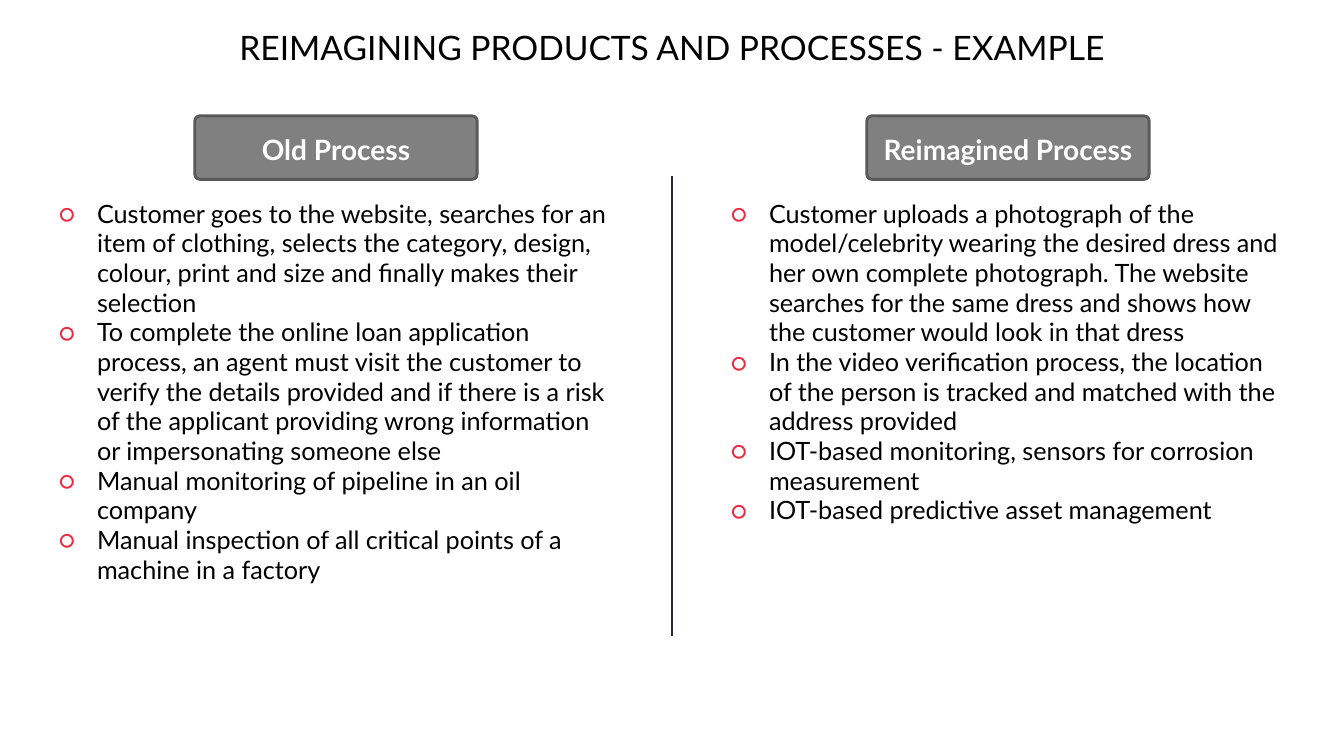
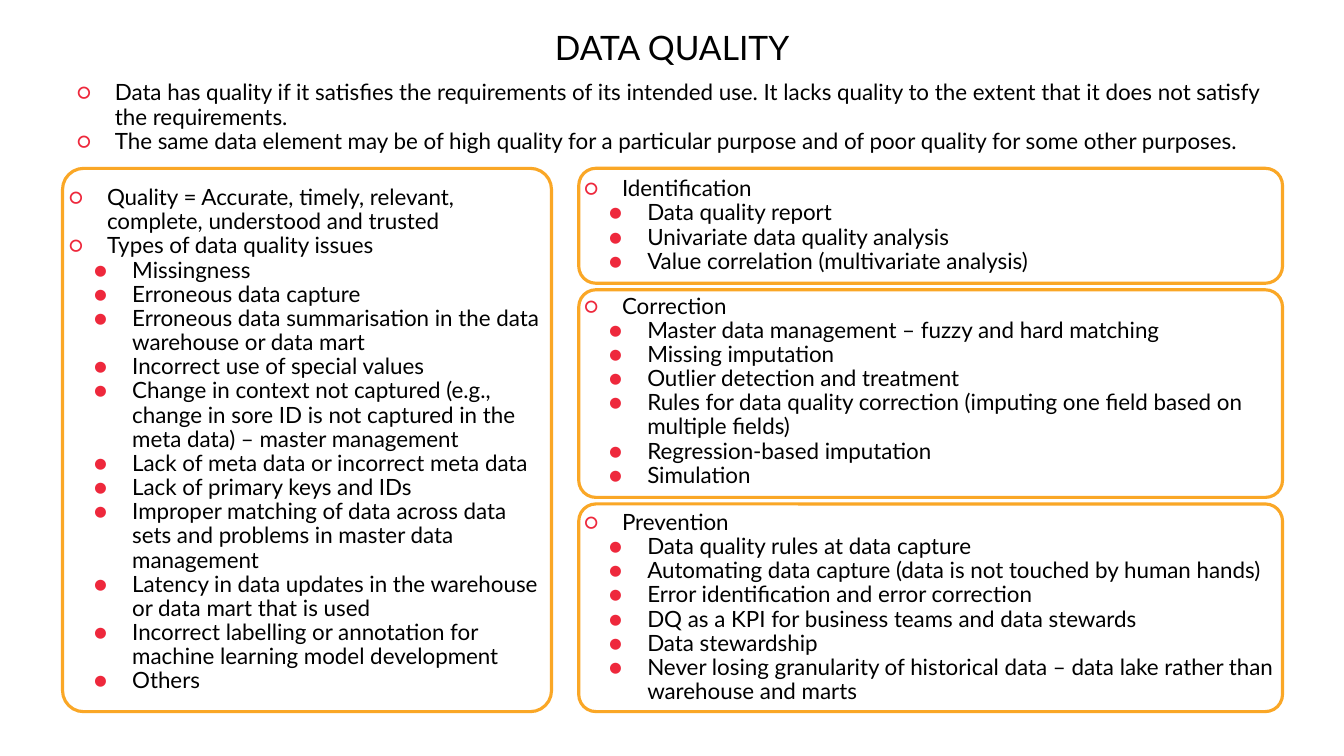
from pptx import Presentation
from pptx.dml.color import RGBColor
from pptx.enum.shapes import MSO_CONNECTOR, MSO_SHAPE
from pptx.enum.text import MSO_ANCHOR, PP_ALIGN
from pptx.oxml.ns import qn
from pptx.util import Inches, Pt
from lxml.etree import SubElement

# Shared style
WIDTH, HEIGHT = 13.33, 7.5
FONT = "Lato"
BLACK, WHITE, RED, ORANGE = "000000", "FFFFFF", "EE283C", "FAA726"
GREY, DARK_GREY, NAVY = "808080", "595959", "222A35"
TITLE_AREA = (1.32, 0.22, 10.69, 0.57)
LEVELS = [("○", 0.38), ("●", 0.63)]  # bullet and text indent of each level
HANGING = 0.38

# Content: a plain string is a first-level bullet, a list holds its sub-bullets
PROCESS_TITLE = "REIMAGINING PRODUCTS AND PROCESSES - EXAMPLE"
PROCESSES = [
    ("Old Process", [
        "Customer goes to the website, searches for an item of clothing, selects the category, "
        "design, colour, print and size and finally makes their selection",
        "To complete the online loan application process, an agent must visit the customer to "
        "verify the details provided and if there is a risk of the applicant providing wrong "
        "information or impersonating someone else",
        "Manual monitoring of pipeline in an oil company",
        "Manual inspection of all critical points of a machine in a factory",
    ]),
    ("Reimagined Process", [
        "Customer uploads a photograph of the model/celebrity wearing the desired dress and her "
        "own complete photograph. The website searches for the same dress and shows how the "
        "customer would look in that dress",
        "In the video verification process, the location of the person is tracked and matched "
        "with the address provided",
        "IOT-based monitoring, sensors for corrosion measurement",
        "IOT-based predictive asset management",
    ]),
]

QUALITY_TITLE = "DATA QUALITY"
QUALITY_INTRO = [
    "Data has quality if it satisfies the requirements of its intended use. It lacks quality to "
    "the extent that it does not satisfy the requirements.",
    "The same data element may be of high quality for a particular purpose and of poor quality "
    "for some other purposes.",
]
QUALITY_ISSUES = [
    "Quality = Accurate, timely, relevant, complete, understood and trusted",
    "Types of data quality issues",
    [
        "Missingness",
        "Erroneous data capture",
        "Erroneous data summarisation in the data warehouse or data mart",
        "Incorrect use of special values",
        "Change in context not captured (e.g., change in sore ID is not captured in the meta "
        "data) – master management",
        "Lack of meta data or incorrect meta data",
        "Lack of primary keys and IDs",
        "Improper matching of data across data sets and problems in master data management",
        "Latency in data updates in the warehouse or data mart that is used",
        "Incorrect labelling or annotation for machine learning model development",
        "Others",
    ],
]
# Height, text anchor, bullets
QUALITY_STEPS = [
    (1.14, MSO_ANCHOR.MIDDLE, ["Identification", [
        "Data quality report",
        "Univariate data quality analysis",
        "Value correlation (multivariate analysis)",
    ]]),
    (2.06, MSO_ANCHOR.TOP, ["Correction", [
        "Master data management – fuzzy and hard matching",
        "Missing imputation",
        "Outlier detection and treatment",
        "Rules for data quality correction (imputing one field based on multiple fields)",
        "Regression-based imputation",
        "Simulation",
    ]]),
    (2.06, MSO_ANCHOR.MIDDLE, ["Prevention", [
        "Data quality rules at data capture",
        "Automating data capture (data is not touched by human hands)",
        "Error identification and error correction",
        "DQ as a KPI for business teams and data stewards",
        "Data stewardship",
        "Never losing granularity of historical data – data lake rather than warehouse and marts",
    ]]),
]


def color(value):
    return RGBColor.from_string(value)


def inches(area):
    return [Inches(length) for length in area]


def style(para, size, ink=BLACK, bold=False):
    para.font.name, para.font.size, para.font.bold = FONT, Pt(size), bold
    para.font.color.rgb = color(ink)


def add_page(deck, title):
    page = deck.slides.add_slide(deck.slide_layouts[6])
    box = page.shapes.add_textbox(*inches(TITLE_AREA))
    box.fill.solid()
    box.fill.fore_color.rgb = color(WHITE)
    box.text_frame.word_wrap = True
    para = box.text_frame.paragraphs[0]
    para.text, para.alignment = title, PP_ALIGN.CENTER
    style(para, 24)
    return page


def add_card(page, area, radius, outline, weight, fill=None):
    card = page.shapes.add_shape(MSO_SHAPE.ROUNDED_RECTANGLE, *inches(area))
    card.adjustments[0] = radius / min(area[2:])
    card.shadow.inherit = False
    card.line.color.rgb, card.line.width = color(outline), Pt(weight)
    if fill:
        card.fill.solid()
        card.fill.fore_color.rgb = color(fill)
    else:
        card.fill.background()
    return card


def set_bullet(para, level):
    mark, indent = LEVELS[level]
    props = para._p.get_or_add_pPr()
    props.set("marL", str(Inches(indent)))
    props.set("indent", str(-Inches(HANGING)))
    tint = SubElement(props, qn("a:buClr"))
    SubElement(tint, qn("a:srgbClr"), val=RED)
    SubElement(props, qn("a:buFont"), typeface=FONT)
    SubElement(props, qn("a:buChar"), char=mark)


def write_bullets(shape, items, size, spacing, anchor=MSO_ANCHOR.TOP):
    frame = shape.text_frame
    frame.word_wrap, frame.vertical_anchor = True, anchor
    frame.margin_left = frame.margin_top = frame.margin_right = frame.margin_bottom = 0
    lines = []
    for item in items:
        lines += [(item, 0)] if isinstance(item, str) else [(text, 1) for text in item]
    for number, (text, level) in enumerate(lines):
        para = frame.add_paragraph() if number else frame.paragraphs[0]
        para.text, para.alignment, para.line_spacing = text, PP_ALIGN.LEFT, spacing
        set_bullet(para, level)
        style(para, size)


def build_processes(deck):
    page = add_page(deck, PROCESS_TITLE)
    middle = WIDTH / 2

    # Divider
    divider = page.shapes.add_connector(
        MSO_CONNECTOR.STRAIGHT, *inches((middle, 1.75, middle, 6.31)))
    divider.line.color.rgb, divider.line.width = color(NAVY), Pt(2)
    SubElement(divider._element.spPr, qn("a:effectLst"))

    # One half of the slide for each process
    text_width, label_width = 5.5, 2.8
    for column, (name, items) in enumerate(PROCESSES):
        left = column * middle
        label = add_card(page, (left + (middle - label_width) / 2, 1.15, label_width, 0.63),
                         0.05, DARK_GREY, 2, GREY)
        label.text_frame.vertical_anchor = MSO_ANCHOR.MIDDLE
        para = label.text_frame.paragraphs[0]
        para.text, para.alignment, para.line_spacing = name, PP_ALIGN.CENTER, 1.07
        style(para, 20, WHITE, bold=True)
        box = page.shapes.add_textbox(
            *inches((left + (middle - text_width) / 2, 1.98, text_width, 4.02)))
        write_bullets(box, items, 18, 0.98)


def build_quality(deck):
    page = add_page(deck, QUALITY_TITLE)
    intro = page.shapes.add_textbox(*inches((0.76, 0.81, 11.8, 0.92)))
    write_bullets(intro, QUALITY_INTRO, 16, 0.9)

    # Issues on the left, steps stacked to the same height on the right
    top, height = 1.67, 5.39
    issues = add_card(page, (0.62, top, 4.85, height), 0.21, ORANGE, 2.25)
    write_bullets(issues, QUALITY_ISSUES, 16, 0.9, MSO_ANCHOR.MIDDLE)
    gap = (height - sum(step[0] for step in QUALITY_STEPS)) / (len(QUALITY_STEPS) - 1)
    for step_height, anchor, items in QUALITY_STEPS:
        card = add_card(page, (5.74, top, 6.98, step_height), 0.17, ORANGE, 2.25)
        write_bullets(card, items, 16, 0.9, anchor)
        top += step_height + gap


def main():
    deck = Presentation()
    deck.slide_width, deck.slide_height = inches((WIDTH, HEIGHT))
    build_processes(deck)
    build_quality(deck)
    deck.save("out.pptx")


if __name__ == "__main__":
    main()
